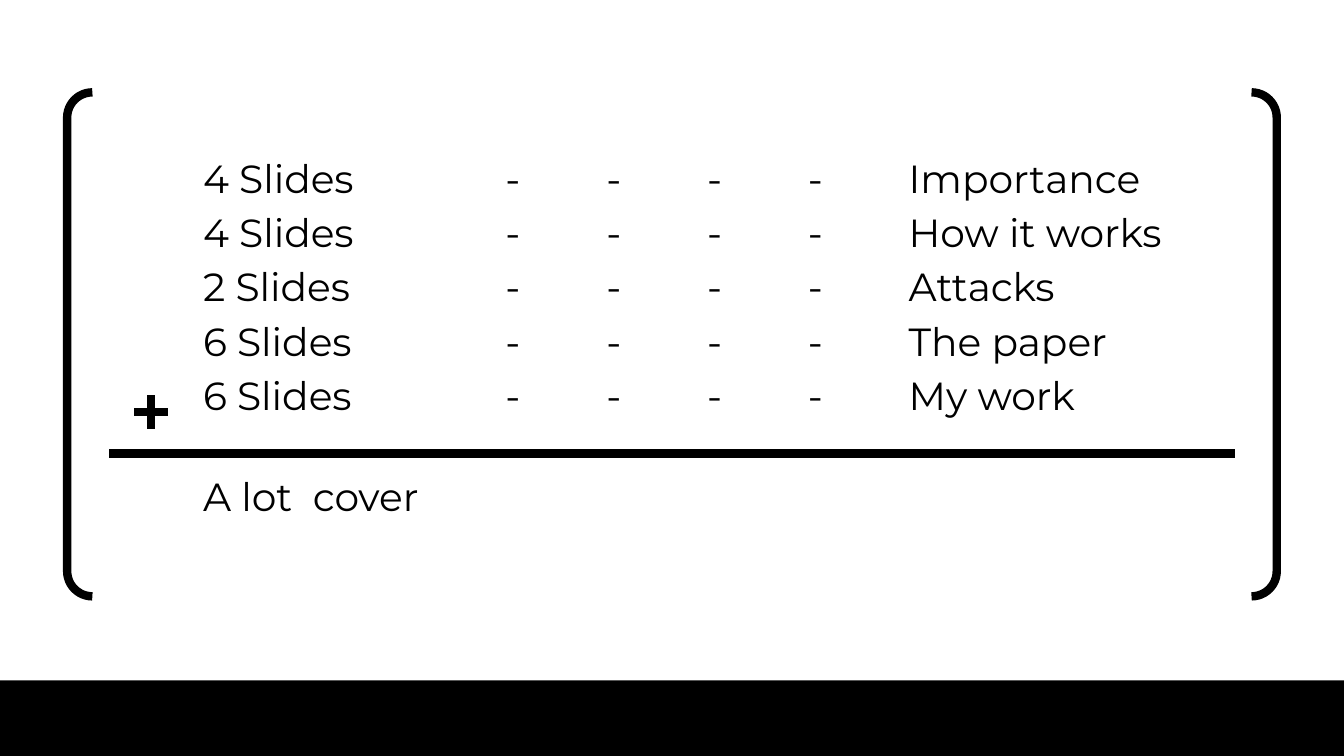
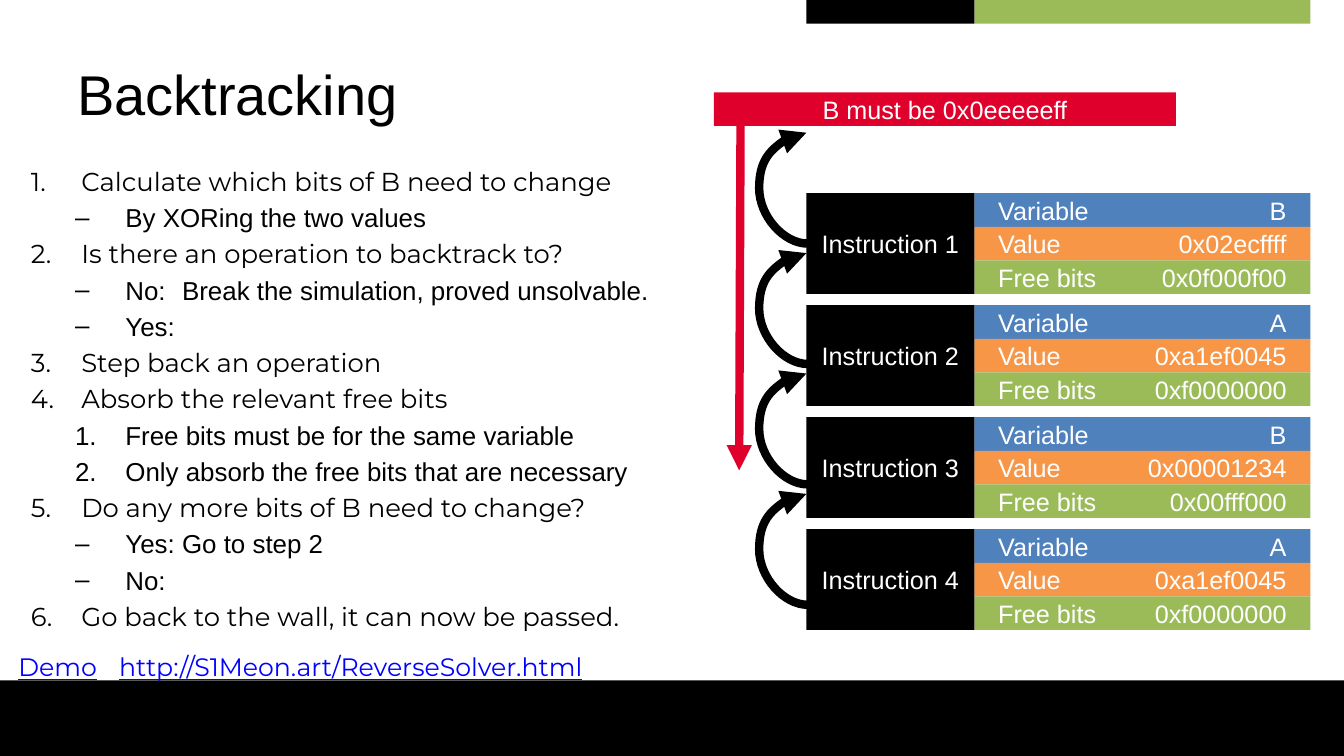
"""Build two slides: a tally of slide counts and a backtracking walkthrough."""
from dataclasses import dataclass
from typing import Any, Optional

import lxml.etree
import pptx
import pptx.dml.color
import pptx.enum.shapes
import pptx.enum.text
import pptx.oxml.ns
import pptx.util

Pt = pptx.util.Pt
RGBColor = pptx.dml.color.RGBColor
Align = pptx.enum.text.PP_ALIGN
Anchor = pptx.enum.text.MSO_ANCHOR
Shape = pptx.enum.shapes.MSO_SHAPE
Connector = pptx.enum.shapes.MSO_CONNECTOR

BLACK = RGBColor(0x00, 0x00, 0x00)
WHITE = RGBColor(0xFF, 0xFF, 0xFF)
BLUE = RGBColor(0x4F, 0x81, 0xBD)
ORANGE = RGBColor(0xF7, 0x96, 0x46)
GREEN = RGBColor(0x9B, 0xBB, 0x59)
RED = RGBColor(0xDF, 0x00, 0x2C)
LINK = RGBColor(0x00, 0x00, 0xFF)

SANS = "Arial"
DISPLAY = "Montserrat"
PAGE_WIDTH, PAGE_HEIGHT, FOOTER_HEIGHT = 960, 540, 54
HEAVY = 6

LABEL_LEFT, LABEL_WIDTH = 576, 120
STATE_LEFT, STATE_WIDTH = LABEL_LEFT + LABEL_WIDTH, 240
ROW_HEIGHT = 24
BLOCK_TOP, BLOCK_PITCH = 138, 80
HOP_TOP, HOP_PITCH, HOP_HEIGHT = 94.8, 86, 79.2


@dataclass(frozen=True)
class Tally:
    count: str
    topic: str


@dataclass(frozen=True)
class Step:
    text: str
    level: int = 0
    numbered: bool = True


@dataclass(frozen=True)
class Instruction:
    variable: str
    value: str
    free_bits: str


TALLIES = [
    Tally("4 Slides", "Importance"),
    Tally("4 Slides", "How it works"),
    Tally("2 Slides", "Attacks"),
    Tally("6 Slides", "The paper"),
    Tally("6 Slides", "My work"),
]
STEPS = [
    Step("Calculate which bits of B need to change"),
    Step("By XORing the two values", 1, False),
    Step("Is there an operation to backtrack to?"),
    Step("No:\tBreak the simulation, proved unsolvable.", 1, False),
    Step("Yes:", 1, False),
    Step("Step back an operation"),
    Step("Absorb the relevant free bits"),
    Step("Free bits must be for the same variable", 1),
    Step("Only absorb the free bits that are necessary", 1),
    Step("Do any more bits of B need to change?"),
    Step("Yes:\tGo to step 2", 1, False),
    Step("No:", 1, False),
    Step("Go back to the wall, it can now be passed."),
]
INSTRUCTIONS = [
    Instruction("B", "0x02ecffff", "0x0f000f00"),
    Instruction("A", "0xa1ef0045", "0xf0000000"),
    Instruction("B", "0x00001234", "0x00fff000"),
    Instruction("A", "0xa1ef0045", "0xf0000000"),
]


def add_xml(parent: Any, tag: str, **attributes: str) -> Any:
    """Append a DrawingML element to its parent."""
    return lxml.etree.SubElement(parent, pptx.oxml.ns.qn(tag), attributes)


def write(para: Any, text: str, *, size: float = 18, font: str = SANS,
          color: RGBColor = BLACK, underline: Optional[bool] = None) -> None:
    """Add one formatted span to a paragraph."""
    span = para.add_run()
    span.text = text
    span.font.size = Pt(size)
    span.font.name = font
    span.font.color.rgb = color
    span.font.underline = underline


def set_tabs(para: Any, stops: list[float], align: str = "l") -> None:
    """Give a paragraph its tab stops."""
    tabs = add_xml(para._p.get_or_add_pPr(), "a:tabLst")
    for stop in stops:
        add_xml(tabs, "a:tab", pos=str(int(Pt(stop))), algn=align)


def set_bullet(para: Any, step: Step) -> None:
    """Give a paragraph a hanging number or dash."""
    props = para._p.get_or_add_pPr()
    props.set("marL", str(int(Pt(67.5 if step.level else 36))))
    props.set("indent", str(int(Pt(-36))))
    if step.numbered:
        add_xml(props, "a:buFont", typeface="+mj-lt")
        add_xml(props, "a:buAutoNum", type="arabicPeriod")
    else:
        add_xml(props, "a:buFont", typeface=SANS)
        add_xml(props, "a:buChar", char="–")


def add_text_frame(page: Any, left: float, top: float, width: float, height: float) -> Any:
    """Add a wrapping text box without vertical insets."""
    frame = page.shapes.add_textbox(Pt(left), Pt(top), Pt(width), Pt(height)).text_frame
    frame.word_wrap = True
    frame.margin_top = frame.margin_bottom = 0
    return frame


def add_bar(page: Any, left: float, top: float, width: float, height: float,
            fill: RGBColor) -> Any:
    """Add a plain filled rectangle and return its text frame."""
    box = page.shapes.add_shape(Shape.RECTANGLE, Pt(left), Pt(top), Pt(width), Pt(height))
    box.shadow.inherit = False
    box.fill.solid()
    box.fill.fore_color.rgb = fill
    box.line.fill.background()
    frame = box.text_frame
    frame.vertical_anchor = Anchor.MIDDLE
    frame.margin_top = frame.margin_bottom = 0
    return frame


def add_caption(frame: Any, text: str) -> None:
    """Write a centred white caption in a bar."""
    para = frame.paragraphs[0]
    para.alignment = Align.CENTER
    write(para, text, color=WHITE)


def add_line(page: Any, start: tuple[float, float], end: tuple[float, float], *,
             color: RGBColor = BLACK, arrow: bool = False,
             kind: Any = Connector.STRAIGHT) -> Any:
    """Add a heavy connector, with an arrowhead if asked."""
    line = page.shapes.add_connector(kind, *map(Pt, start), *map(Pt, end))
    line.line.color.rgb = color
    line.line.width = Pt(HEAVY)
    if arrow:
        add_xml(line.line._get_or_add_ln(), "a:tailEnd", type="triangle")
    add_xml(line._element.spPr, "a:effectLst")
    return line


def add_hop(page: Any, top: float) -> None:
    """Add an arrow that bows left and back up to the previous instruction."""
    hop = add_line(page, (LABEL_LEFT, top), (LABEL_LEFT + 1, top + HOP_HEIGHT),
                   arrow=True, kind=Connector.CURVE)
    props = hop._element.spPr
    props.find(pptx.oxml.ns.qn("a:xfrm")).set("rot", "10800000")
    guides = props.find(".//" + pptx.oxml.ns.qn("a:avLst"))
    add_xml(guides, "a:gd", name="adj1", fmla="val 3500000")


def add_instruction(page: Any, number: int, item: Instruction) -> None:
    """Draw one instruction label with its three state rows."""
    top = BLOCK_TOP + (number - 1) * BLOCK_PITCH
    rows = [("Variable", item.variable, BLUE), ("Value", item.value, ORANGE),
            ("Free bits", item.free_bits, GREEN)]
    for index, (name, value, fill) in enumerate(rows):
        frame = add_bar(page, STATE_LEFT, top + index * ROW_HEIGHT, STATE_WIDTH, ROW_HEIGHT, fill)
        frame.margin_left, frame.margin_right = Pt(17), Pt(7)
        para = frame.paragraphs[0]
        para.alignment = Align.LEFT
        set_tabs(para, [206], "r")
        write(para, f"{name}\t{value}", color=WHITE)
    label = add_bar(page, LABEL_LEFT, top, LABEL_WIDTH, len(rows) * ROW_HEIGHT, BLACK)
    label.margin_left = label.margin_right = 0
    add_caption(label, f"Instruction {number}")


def add_page(deck: Any, layout: int) -> Any:
    """Add a page with the shared footer band."""
    page = deck.slides.add_slide(deck.slide_layouts[layout])
    add_bar(page, 0, PAGE_HEIGHT - FOOTER_HEIGHT, PAGE_WIDTH, FOOTER_HEIGHT, BLACK)
    return page


def build_tally(deck: Any) -> None:
    """Build the sum of slide counts."""
    page = add_page(deck, 6)
    frame = add_text_frame(page, 66, 110, 828, 270)
    for index, tally in enumerate(TALLIES):
        para = frame.paragraphs[0] if index == 0 else frame.add_paragraph()
        para.space_before = Pt(5.2 if index else 0)
        set_tabs(para, [72, 288, 360, 432, 504, 576])
        write(para, "\t".join(["", tally.count, *"----", tally.topic]), size=28, font=DISPLAY)
    total = frame.add_paragraph()
    total.space_before = Pt(38.8)
    set_tabs(total, [72])
    write(total, "\tA lot  cover", size=28, font=DISPLAY)

    add_line(page, (78, 324), (882, 324))
    add_line(page, (96, 294.5), (120, 294.5))
    add_line(page, (108, 282.5), (108, 306.5))
    bracket = page.shapes.add_shape(Shape.DOUBLE_BRACKET, Pt(48), Pt(66), Pt(864), Pt(360))
    bracket.shadow.inherit = False
    bracket.adjustments[0] = 0.05
    bracket.fill.background()
    bracket.line.color.rgb = BLACK
    bracket.line.width = Pt(HEAVY)


def build_backtracking(deck: Any) -> None:
    """Build the backtracking steps and the instruction chain."""
    page = add_page(deck, 5)
    title = page.shapes.title
    title.left, title.top, title.width, title.height = map(Pt, (48, 21.6, 864, 90))
    title.text_frame.vertical_anchor = Anchor.MIDDLE
    heading = title.text_frame.paragraphs[0]
    heading.alignment = Align.LEFT
    write(heading, "Backtracking", size=40)

    link = add_text_frame(page, 6, 465.5, 864, 20).paragraphs[0]
    write(link, "Demo", font=DISPLAY, color=LINK, underline=True)
    write(link, "\t", font=DISPLAY)
    write(link, "http://S1Meon.art/ReverseSolver.html", font=DISPLAY, color=LINK, underline=True)

    for number, item in enumerate(INSTRUCTIONS, 1):
        add_instruction(page, number, item)
        add_hop(page, HOP_TOP + (number - 1) * HOP_PITCH)
    add_caption(add_bar(page, 510, 66, 330, ROW_HEIGHT, RED), "B must be 0x0eeeeeff")
    add_line(page, (529, 86), (528, 336), color=RED, arrow=True)

    frame = add_text_frame(page, 15, 114.4, 517, 340)
    for index, step in enumerate(STEPS):
        para = frame.paragraphs[0] if index == 0 else frame.add_paragraph()
        para.level = step.level
        para.line_spacing = Pt(25.9)
        set_bullet(para, step)
        write(para, step.text, size=18.5, font=SANS if step.level else DISPLAY)

    add_bar(page, STATE_LEFT, 0, STATE_WIDTH, 17, GREEN)
    add_bar(page, LABEL_LEFT, 0, LABEL_WIDTH, 17, BLACK)


def main() -> None:
    """Build and save the deck."""
    deck = pptx.Presentation()
    deck.slide_width, deck.slide_height = Pt(PAGE_WIDTH), Pt(PAGE_HEIGHT)
    build_tally(deck)
    build_backtracking(deck)
    deck.save("out.pptx")


if __name__ == "__main__":
    main()
